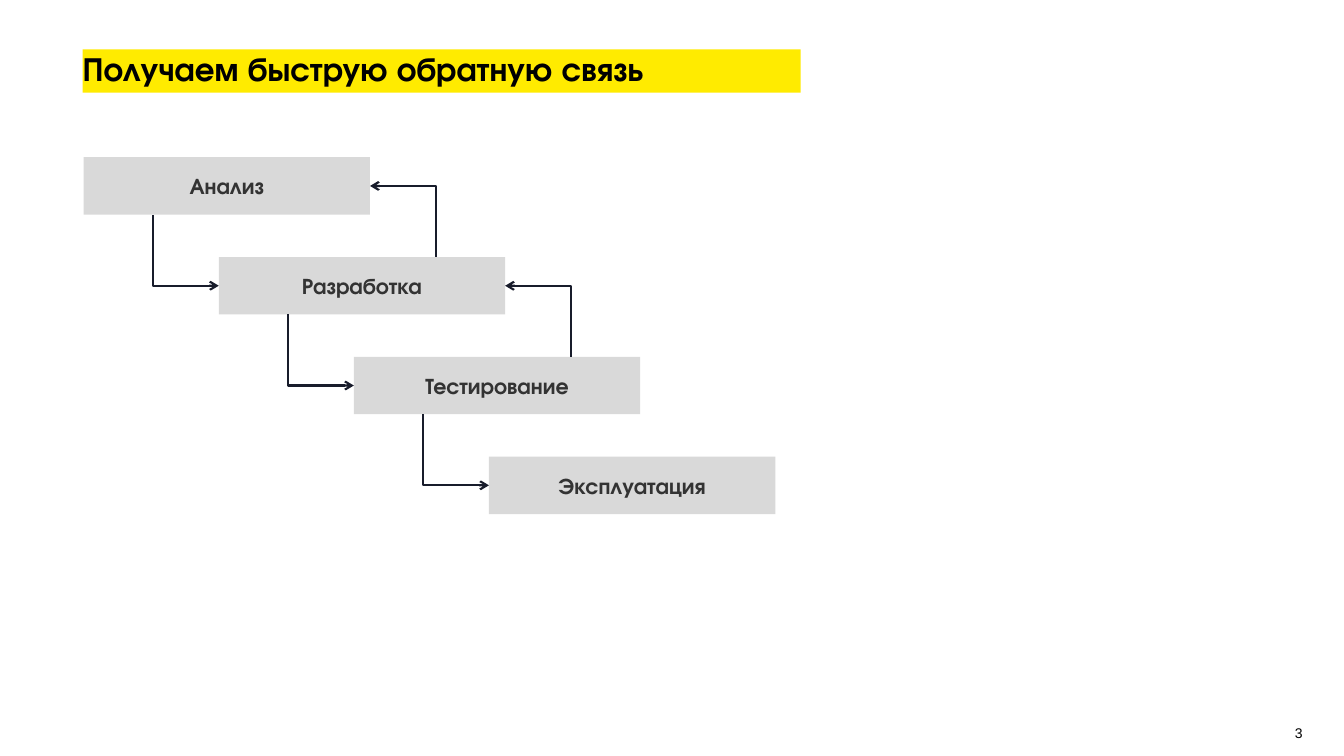
from lxml.etree import SubElement
from pptx import Presentation
from pptx.dml.color import RGBColor
from pptx.enum.shapes import MSO_CONNECTOR as Connector, MSO_SHAPE as Shape
from pptx.enum.text import MSO_ANCHOR as Anchor, MSO_AUTO_SIZE as AutoSize, PP_ALIGN as Align
from pptx.oxml.ns import qn
from pptx.util import Inches, Pt

HEADING_FONT = "TeX Gyre Adventor"
STAGES = ["Анализ", "Разработка", "Тестирование", "Эксплуатация"]
LEFT, TOP, WIDTH, HEIGHT = 0.83, 1.56, 2.84, 0.57
STEP_X, STEP_Y = 1.34, 0.99
ELBOW_REACH = 0.65


def color(hex_code):
    return RGBColor.from_string(hex_code)


def write(box, text, size, font=HEADING_FONT, fill="000000", bold=True,
          align=Align.LEFT, anchor=Anchor.TOP, margin=0, spacing=1.0):
    frame = box.text_frame
    frame.word_wrap = True
    frame.auto_size = AutoSize.NONE
    frame.vertical_anchor = anchor
    frame.margin_left = frame.margin_right = Inches(margin)
    frame.margin_top = frame.margin_bottom = Inches(margin / 2)
    para = frame.paragraphs[0]
    para.alignment = align
    para.line_spacing = spacing
    para.space_before = Pt(0)
    span = para.add_run()
    span.text = text
    span.font.name = font
    span.font.size = Pt(size)
    span.font.bold = bold
    span.font.color.rgb = color(fill)


deck = Presentation()
deck.slide_width, deck.slide_height = Inches(13.33), Inches(7.5)
page = deck.slides.add_slide(deck.slide_layouts[5])
shapes = page.shapes

# Title on its yellow bar, which goes behind the placeholder
title = shapes.title
title.left, title.top = Inches(0.82), Inches(0.52)
title.width, title.height = Inches(6.35), Inches(0.83)
write(title, "Получаем быструю обратную связь", 24, spacing=0.9)

title_bar = shapes.add_shape(Shape.RECTANGLE, Inches(0.82), Inches(0.49), Inches(7.12), Inches(0.43))
title_bar.shadow.inherit = False
title_bar.fill.solid()
title_bar.fill.fore_color.rgb = color("FFEB00")
title_bar.line.fill.background()
title._element.addprevious(title_bar._element)

# Staircase of stages
stage_boxes = []
for index, stage in enumerate(STAGES):
    box = shapes.add_shape(Shape.RECTANGLE, Inches(LEFT + index * STEP_X), Inches(TOP + index * STEP_Y),
                           Inches(WIDTH), Inches(HEIGHT))
    box.shadow.inherit = False
    box.fill.solid()
    box.fill.fore_color.rgb = color("D9D9D9")
    box.line.fill.background()
    write(box, stage, 16, fill="333333", align=Align.CENTER, anchor=Anchor.MIDDLE, margin=0.1)
    stage_boxes.append(box)

# Each elbow begins at its arrowhead: (pointed-at box, side, direction, far end y)
elbows = []
for upper, lower in zip(stage_boxes, stage_boxes[1:]):
    elbows.append((lower, 1, -1, upper.top + upper.height))
    if lower is not stage_boxes[-1]:
        elbows.append((upper, 3, 1, lower.top))

for target, side, direction, end_y in elbows:
    tip_x = target.left if side == 1 else target.left + target.width
    tip_y = target.top + target.height // 2
    elbow = shapes.add_connector(Connector.ELBOW, tip_x, tip_y,
                                 tip_x + direction * Inches(ELBOW_REACH), end_y)
    elbow.begin_connect(target, side)
    elbow.line.color.rgb = color("181C2B")
    elbow.line.width = Pt(1.5)
    properties = elbow._element.spPr
    properties.find(qn("a:prstGeom")).set("prst", "bentConnector2")
    SubElement(properties.find(qn("a:ln")), qn("a:headEnd"), type="arrow")
    SubElement(properties, qn("a:effectLst"))

page_number = shapes.add_textbox(Inches(12.08), Inches(7.19), Inches(0.84), Inches(0.17))
write(page_number, "3", 10, font="Arial", bold=False, align=Align.RIGHT)

deck.save("out.pptx")
